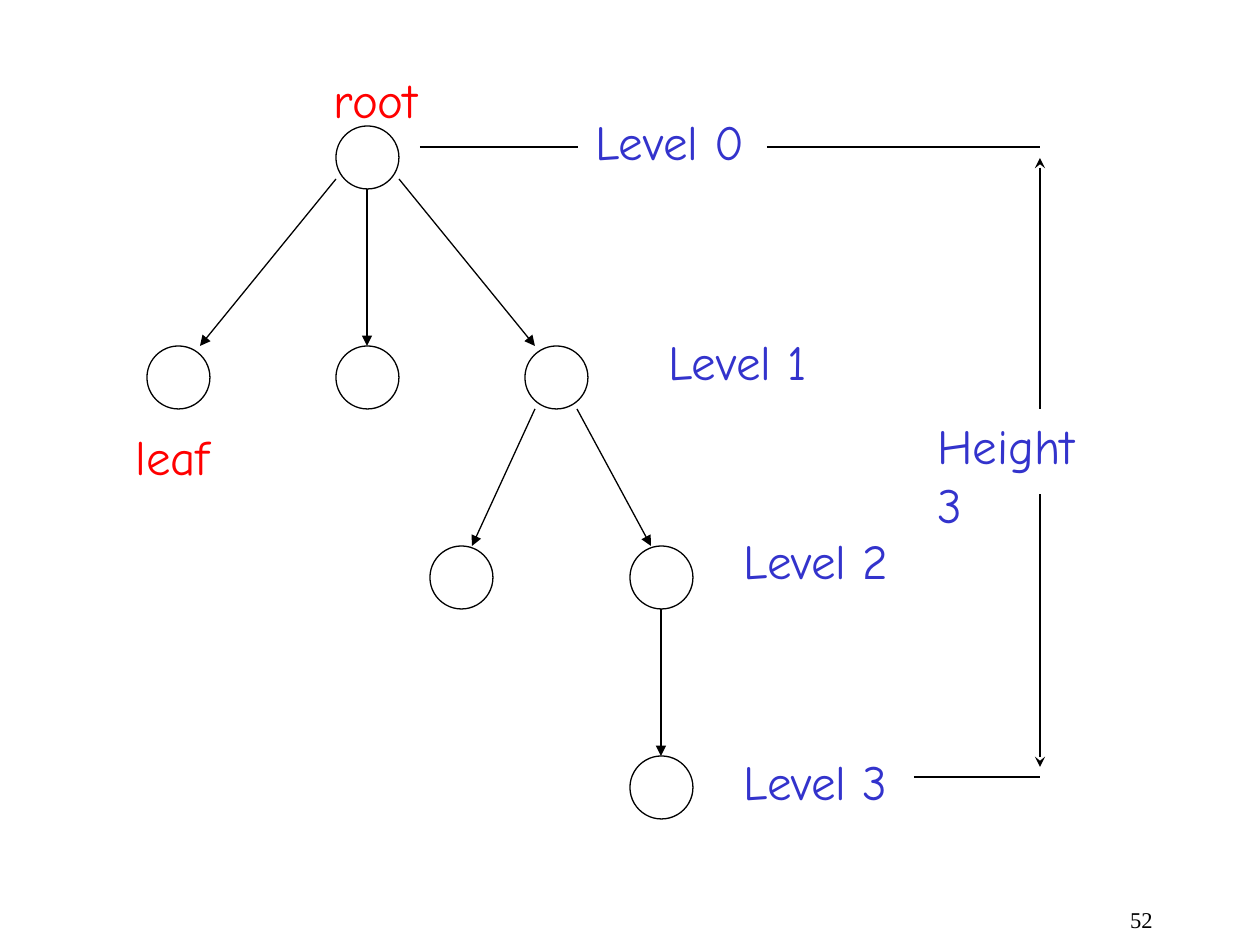
from pptx import Presentation
from pptx.dml.color import RGBColor
from pptx.enum.shapes import MSO_CONNECTOR as CONN, MSO_SHAPE as SHAPE
from pptx.enum.text import MSO_AUTO_SIZE as FIT, PP_ALIGN as ALIGN
from pptx.oxml.ns import qn
from pptx.util import Emu, Pt
from lxml.etree import SubElement

BLACK = RGBColor(0x00, 0x00, 0x00)
RED = RGBColor(0xFF, 0x00, 0x00)
BLUE = RGBColor(0x33, 0x33, 0xCC)
EMU_PER_PX = 914400 / 126
NODE = 63


def px(*values):
    return [Emu(round(v * EMU_PER_PX)) for v in values]


class TreeSlide:
    line_width = Pt(0.75)
    label_font = {"name": "Comic Neue", "size": Pt(28)}
    number_font = {"name": "Times New Roman", "size": Pt(12.9)}

    def __init__(self, prs):
        self.slide = prs.slides.add_slide(prs.slide_layouts[6])

    def stroke(self, line):
        line.color.rgb = BLACK
        line.width = self.line_width

    def node(self, x, y):
        s = self.slide.shapes.add_shape(SHAPE.OVAL, *px(x, y, NODE, NODE))
        s.shadow.inherit = False
        s.fill.background()
        self.stroke(s.line)

    def line(self, x1, y1, x2, y2, end=None, arrow=None):
        s = self.slide.shapes.add_connector(CONN.STRAIGHT, *px(x1, y1, x2, y2))
        self.stroke(s.line)
        if end:
            SubElement(s.line._get_or_add_ln(), qn(f"a:{end}"), type=arrow)
        SubElement(s._element.spPr, qn("a:effectLst"))

    def text(self, words, box, color, font, wrap=False, **para):
        tf = self.slide.shapes.add_textbox(*px(*box)).text_frame
        tf.word_wrap = wrap
        tf.auto_size = FIT.NONE if wrap else FIT.SHAPE_TO_FIT_TEXT
        p = tf.paragraphs[0]
        for key, value in para.items():
            setattr(p, key, value)
        r = p.add_run()
        r.text = words
        for key, value in font.items():
            setattr(r.font, key, value)
        r.font.color.rgb = color

    def label(self, words, x, y, w, color):
        self.text(words, (x, y, w, 72), color, self.label_font)

    def number(self, words, box):
        self.text(words, box, BLACK, self.number_font, wrap=True,
                  alignment=ALIGN.RIGHT, line_spacing=0.9)


def main():
    prs = Presentation()
    prs.slide_width, prs.slide_height = px(1260, 945)
    tree = TreeSlide(prs)

    tree.number("52", (903, 903, 262, 42))

    levels = {126: [336], 346: [147, 336, 525], 546: [430, 630], 756: [630]}
    for y, xs in levels.items():
        for x in xs:
            tree.node(x, y)

    edges = [
        (336, 179, 200, 346), (367, 189, 367, 346), (399, 179, 535, 346),
        (535, 409, 472, 546), (577, 409, 651, 546), (661, 609, 661, 756),
    ]
    for edge in edges:
        tree.line(*edge, end="tailEnd", arrow="triangle")

    for x1, x2, y in [(420, 578, 147), (767, 1040, 147), (914, 1040, 777)]:
        tree.line(x1, y, x2, y)
    for y1, y2 in [(158, 409), (767, 494)]:
        tree.line(1040, y1, 1040, y2, end="headEnd", arrow="stealth")

    labels = [
        ("root", 321, 63, 110, RED),
        ("leaf", 123, 420, 100, RED),
        ("Level 0", 583, 105, 175, BLUE),
        ("Level 1", 656, 325, 165, BLUE),
        ("Level 2", 731, 524, 171, BLUE),
        ("Level 3", 731, 745, 170, BLUE),
        ("Height 3", 925, 409, 203, BLUE),
    ]
    for label in labels:
        tree.label(*label)

    prs.save("out.pptx")


if __name__ == "__main__":
    main()
